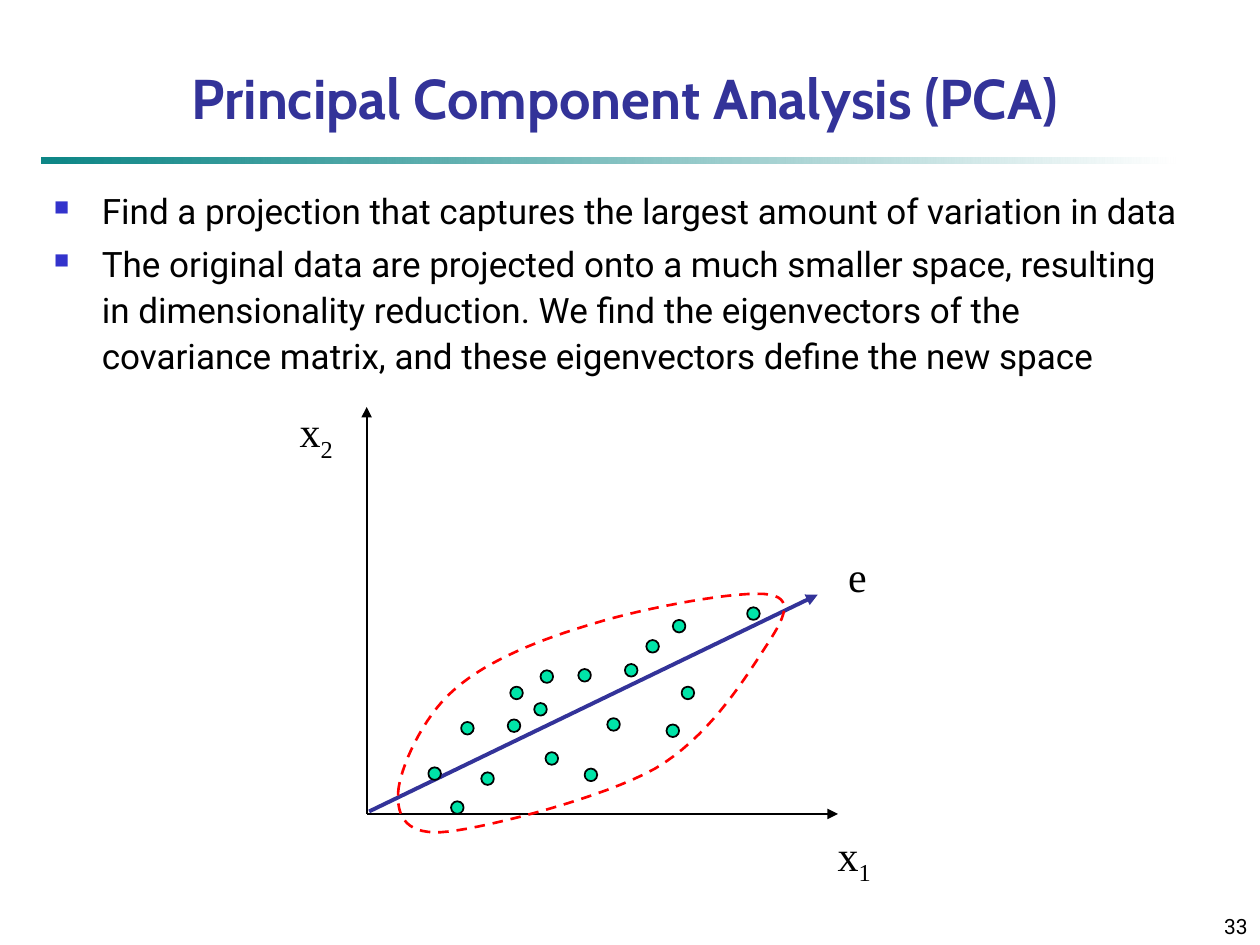
from lxml.etree import SubElement
from pptx import Presentation
from pptx.dml.color import RGBColor
from pptx.enum.dml import MSO_LINE
from pptx.enum.shapes import MSO_CONNECTOR, MSO_SHAPE
from pptx.enum.text import MSO_ANCHOR, PP_ALIGN
from pptx.oxml.ns import qn
from pptx.util import Pt

SCALE = 9144
COLORS = {
    "text": "000000",
    "accent": "333399",
    "bullet": "3333CC",
    "teal": "008080",
    "white": "FFFFFF",
    "point": "00E4A8",
    "cluster": "FF0000",
}
COLORS = {name: RGBColor.from_string(value) for name, value in COLORS.items()}


def add_span(para, text, size, font, color="text"):
    span = para.add_run()
    span.text = text
    span.font.size = Pt(size)
    span.font.name = font
    span.font.color.rgb = COLORS[color]
    return span


def add_box(left, top, width, height, anchor, wrap=True):
    box = page.shapes.add_textbox(left * SCALE, top * SCALE, width * SCALE, height * SCALE)
    box.text_frame.word_wrap = wrap
    box.text_frame.vertical_anchor = anchor
    return box.text_frame


deck = Presentation()
deck.slide_width = 1000 * SCALE
deck.slide_height = 750 * SCALE
page = deck.slides.add_slide(deck.slide_layouts[5])

title = page.shapes.title
title.left, title.top, title.width, title.height = (n * SCALE for n in (17, 17, 958, 92))
title.text_frame.vertical_anchor = MSO_ANCHOR.BOTTOM
para = title.text_frame.paragraphs[0]
para.alignment = PP_ALIGN.CENTER
add_span(para, "Principal Component Analysis (PCA)", 32, "Cabin", "accent").font.bold = True

rule = page.shapes.add_shape(MSO_SHAPE.RECTANGLE, 33 * SCALE, 125 * SCALE, 900 * SCALE, 5 * SCALE)
rule.shadow.inherit = False
rule.line.fill.background()
rule.fill.gradient()
rule.fill.gradient_angle = 0
for stop, color in zip(rule.fill.gradient_stops, ("teal", "white")):
    stop.color.rgb = COLORS[color]
first_color = next(rule._element.iter(qn("a:srgbClr")))
SubElement(first_color, qn("a:alpha"), val="95000")

body = add_box(33, 142, 917, 175, MSO_ANCHOR.TOP)
bullets = [
    "Find a projection that captures the largest amount of variation in data",
    "The original data are projected onto a much smaller space, resulting in "
    "dimensionality reduction. We find the eigenvectors of the covariance matrix, "
    "and these eigenvectors define the new space",
]
for index, text in enumerate(bullets):
    para = body.add_paragraph() if index else body.paragraphs[0]
    para.line_spacing = 1.1
    para.space_before = Pt(4)
    properties = para._p.get_or_add_pPr()
    properties.set("marL", str(38 * SCALE))
    properties.set("indent", str(-38 * SCALE))
    bullet_color = SubElement(properties, qn("a:buClr"))
    SubElement(bullet_color, qn("a:srgbClr"), val=str(COLORS["bullet"]))
    SubElement(properties, qn("a:buSzPct"), val="60000")
    SubElement(properties, qn("a:buChar"), char="■")
    add_span(para, text, 20, "Roboto")

arrows = [
    (291, 646, 291, 323, "text", 1),
    (291, 646, 665, 646, "text", 1),
    (293, 644, 649, 472, "accent", 2.25),
]
for x1, y1, x2, y2, color, width in arrows:
    arrow = page.shapes.add_connector(
        MSO_CONNECTOR.STRAIGHT, x1 * SCALE, y1 * SCALE, x2 * SCALE, y2 * SCALE
    )
    arrow.line.color.rgb = COLORS[color]
    arrow.line.width = Pt(width)
    SubElement(arrow.line._get_or_add_ln(), qn("a:tailEnd"), type="triangle")
    SubElement(arrow._element.spPr, qn("a:effectLst"))

points = [
    (366, 573), (405, 545), (340, 609), (424, 558), (403, 571), (482, 570),
    (464, 610), (433, 597), (459, 531), (541, 545), (593, 482), (382, 613),
    (496, 527), (534, 492), (429, 532), (513, 508), (529, 575), (358, 636),
]
for left, top in points:
    point = page.shapes.add_shape(
        MSO_SHAPE.OVAL, left * SCALE, top * SCALE, 10 * SCALE, 10 * SCALE
    )
    point.shadow.inherit = False
    point.fill.solid()
    point.fill.fore_color.rgb = COLORS["point"]
    point.line.color.rgb = COLORS["text"]
    point.line.width = Pt(1)

start = (316, 629)
curves = [
    ((317, 611), (335, 569), (361, 547)),
    ((387, 524), (430, 507), (471, 495)),
    ((513, 482), (589, 468), (611, 472)),
    ((633, 476), (619, 496), (604, 519)),
    ((589, 542), (561, 586), (520, 610)),
    ((479, 633), (390, 656), (356, 660)),
    ((322, 664), (315, 648), (316, 629)),
]
steps = 16
outline = []
corner = start
for curve in curves:
    for step in range(1, steps + 1):
        t = step / steps
        weights = ((1 - t) ** 3, 3 * t * (1 - t) ** 2, 3 * t * t * (1 - t), t ** 3)
        outline.append(tuple(
            round(SCALE * sum(w * n for w, n in zip(weights, axis)))
            for axis in zip(corner, *curve)
        ))
    corner = curve[-1]
builder = page.shapes.build_freeform(start[0] * SCALE, start[1] * SCALE)
builder.add_line_segments(outline, close=True)
cluster = builder.convert_to_shape()
cluster.shadow.inherit = False
cluster.fill.background()
cluster.line.color.rgb = COLORS["cluster"]
cluster.line.width = Pt(1.5)
cluster.line.dash_style = MSO_LINE.DASH

labels = [("x", "2", 227, 320, 48), ("x", "1", 654, 656, 48), ("e", "", 663, 432, 35)]
for name, subscript, left, top, width in labels:
    label = add_box(left, top, width, 50, MSO_ANCHOR.MIDDLE, wrap=False)
    para = label.paragraphs[0]
    para.alignment = PP_ALIGN.CENTER
    add_span(para, name, 24, "Times New Roman")
    if subscript:
        span = add_span(para, subscript, 24, "Times New Roman")
        span.font._element.set("baseline", "-25000")

number = add_box(792, 708, 208, 42, MSO_ANCHOR.BOTTOM)
number.paragraphs[0].alignment = PP_ALIGN.RIGHT
add_span(number.paragraphs[0], "33", 12, "Roboto")

deck.save("out.pptx")
